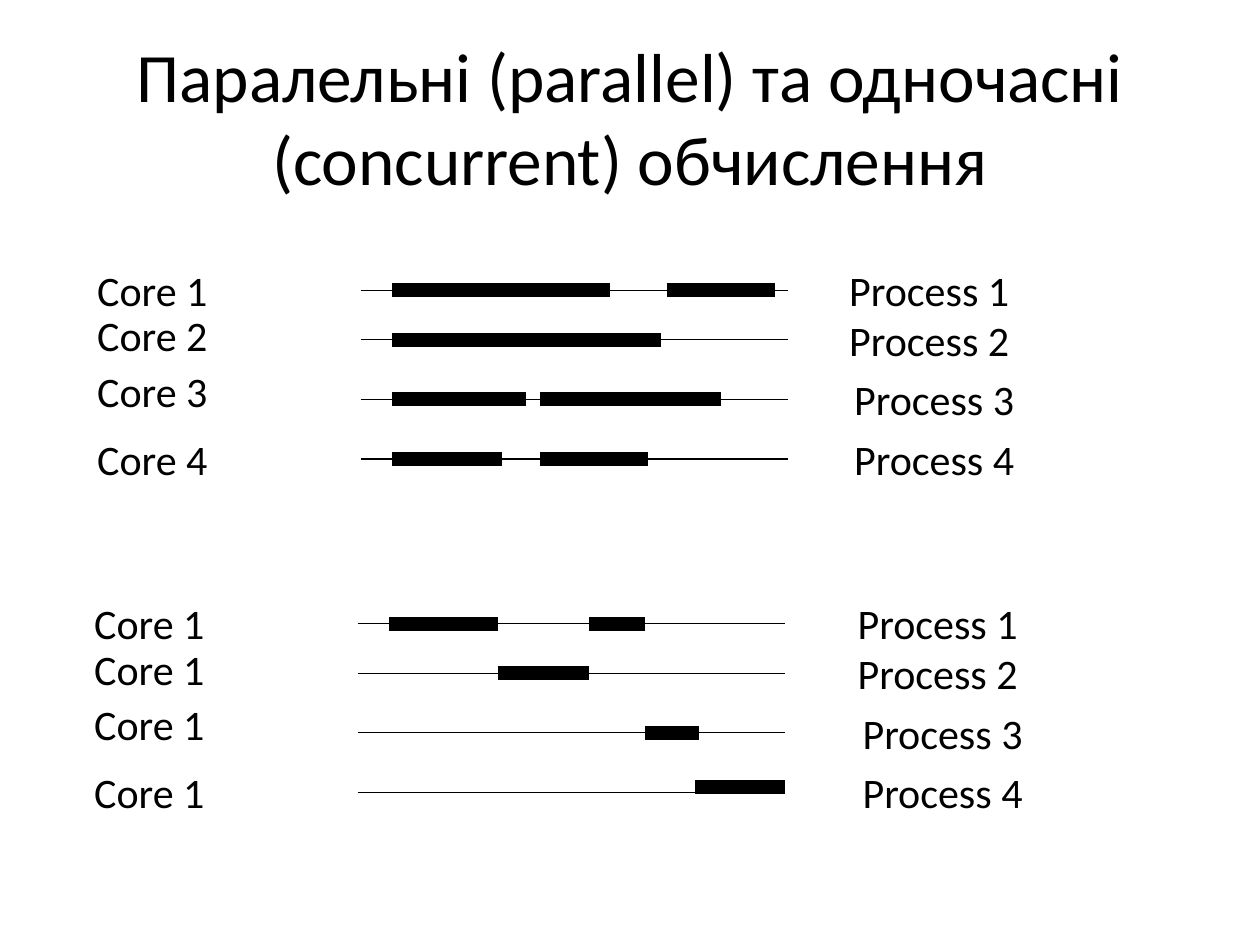
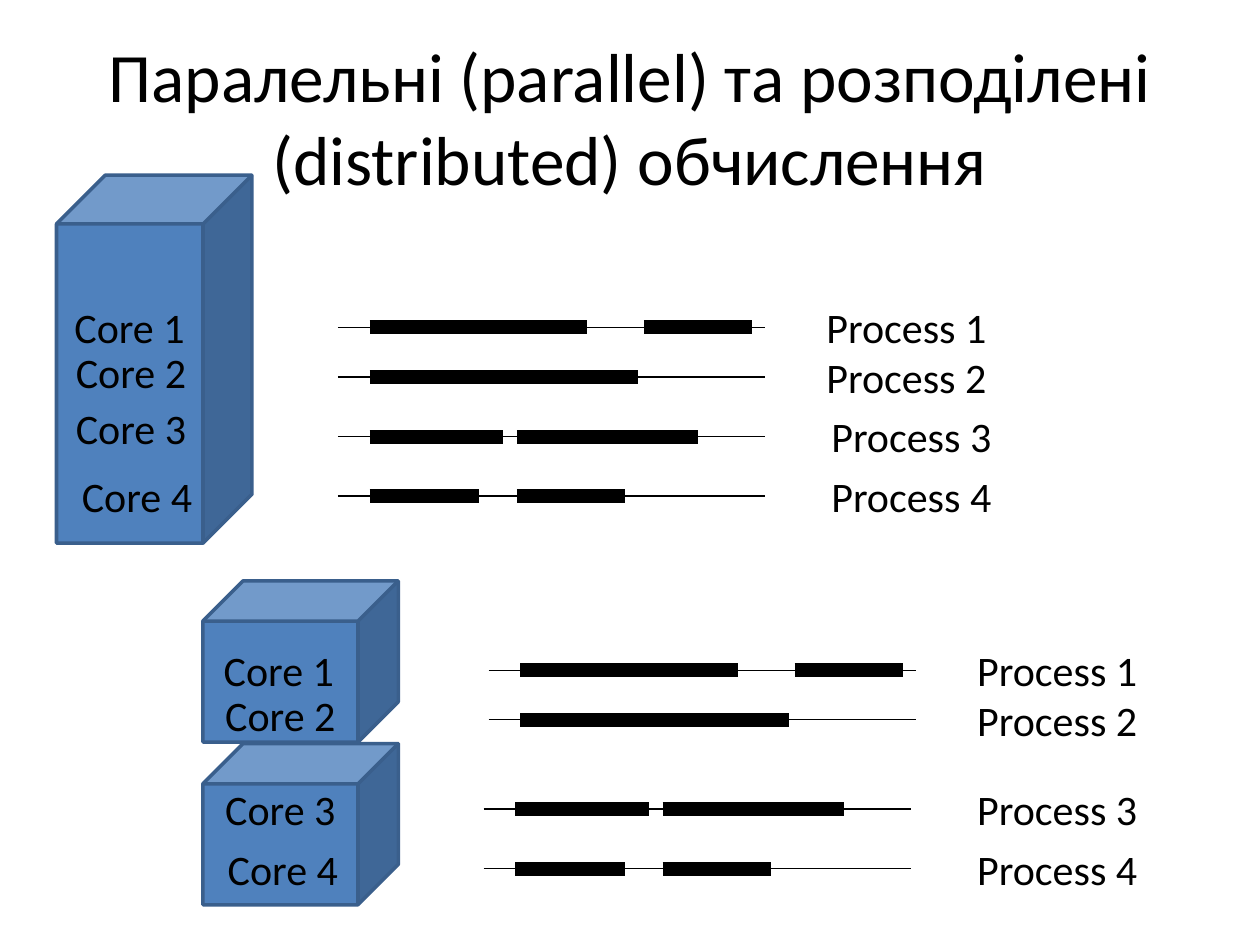
from dataclasses import dataclass

from lxml.etree import SubElement
from pptx import Presentation
from pptx.dml.color import RGBColor
from pptx.enum.shapes import MSO_CONNECTOR, MSO_SHAPE
from pptx.enum.text import MSO_ANCHOR, PP_ALIGN
from pptx.oxml.ns import qn
from pptx.util import Cm, Pt

BLACK = RGBColor(0x00, 0x00, 0x00)
BLUE = RGBColor(0x4F, 0x81, 0xBD)
DARK_BLUE = RGBColor(0x3A, 0x5F, 0x8C)
FONT = "Calibri"

# Lengths in cm, relative to the start of a group's first lane
LANE_LENGTH = 8.61
LANE_Y = {1: 0, 2: 1, 3: 2.2, 4: 3.4}
PROCESS_SHIFT = {1: 0, 2: 0, 3: 0.1, 4: 0.1}
LABEL_RISE = 0.64
LABEL_HEIGHT = 1.27
CORE_X = -5.56
CORE_Y = (0, 0.91, 2.03, 3.4)


@dataclass
class Burst:
    start: float
    end: float
    lift: float = 0


# Bursts of work for each process number
PARALLEL = {
    1: [Burst(0.64, 5.03), Burst(6.17, 8.36)],
    2: [Burst(0.64, 6.05)],
    3: [Burst(0.64, 3.33), Burst(3.61, 7.26)],
    4: [Burst(0.64, 2.84), Burst(3.61, 5.79)],
}
CONCURRENT = {
    1: [Burst(0.64, 2.82), Burst(4.67, 5.79)],
    2: [Burst(2.82, 4.67)],
    3: [Burst(5.79, 6.88)],
    4: [Burst(6.81, LANE_LENGTH, lift=0.1)],
}


def add_text(shapes, text, x, y, w, h, size=24, align=PP_ALIGN.LEFT,
             anchor=MSO_ANCHOR.TOP):
    tf = shapes.add_textbox(Cm(x), Cm(y), Cm(w), Cm(h)).text_frame
    tf.word_wrap = True
    tf.vertical_anchor = anchor
    p = tf.paragraphs[0]
    p.alignment = align
    r = p.add_run()
    r.text = text
    r.font.name = FONT
    r.font.size = Pt(size)
    r.font.color.rgb = BLACK


def add_line(shapes, x1, x2, y, width):
    line = shapes.add_connector(MSO_CONNECTOR.STRAIGHT,
                                Cm(x1), Cm(y), Cm(x2), Cm(y))
    line.line.color.rgb = BLACK
    line.line.width = Pt(width)
    SubElement(line._element.spPr, qn("a:effectLst"))


def add_computer(shapes, x, y, h):
    cube = shapes.add_shape(MSO_SHAPE.CUBE, Cm(x), Cm(y), Cm(3.94), Cm(h))
    cube.shadow.inherit = False
    cube.fill.solid()
    cube.fill.fore_color.rgb = BLUE
    cube.line.color.rgb = DARK_BLUE
    cube.line.width = Pt(2)


def add_schedule(shapes, x, y, schedule, cores, core_x=(0, 0, 0, 0),
                 core_y=CORE_Y, process_x=9.6):
    """Lanes with a core label on the left and a process label on the right."""
    first_y = LANE_Y[min(schedule)]
    lanes = zip(schedule.items(), cores, core_x, core_y)
    for (process, bursts), core, core_dx, core_dy in lanes:
        lane_y = y + LANE_Y[process] - first_y
        add_line(shapes, x, x + LANE_LENGTH, lane_y, 0.75)
        for b in bursts:
            add_line(shapes, x + b.start, x + b.end, lane_y - b.lift, 8)
        add_text(shapes, f"Core {core}", x + CORE_X + core_dx,
                 y + core_dy - LABEL_RISE, 3.4, LABEL_HEIGHT)
        add_text(shapes, f"Process {process}",
                 x + process_x + PROCESS_SHIFT[process],
                 lane_y - LABEL_RISE, 4.4, LABEL_HEIGHT)


def add_titled_slide(prs, title):
    s = prs.slides.add_slide(prs.slide_layouts[6])
    add_text(s.shapes, title, 1.27, 0.76, 22.86, 3.18, size=39.6,
             align=PP_ALIGN.CENTER, anchor=MSO_ANCHOR.MIDDLE)
    return s


def add_group(s):
    return s.shapes.add_group_shape().shapes


def build_concurrent_slide(prs):
    s = add_titled_slide(
        prs, "Паралельні (parallel) та одночасні (concurrent) обчислення")
    # Four cores
    add_schedule(add_group(s), 7.27, 5.85, PARALLEL, cores=(1, 2, 3, 4))
    # One shared core
    add_schedule(add_group(s), 7.21, 12.57, CONCURRENT, cores=(1, 1, 1, 1),
                 process_x=9.83)


def build_distributed_slide(prs):
    s = add_titled_slide(
        prs, "Паралельні (parallel) та розподілені (distributed) обчислення")
    # One computer with four cores
    computer = add_group(s)
    add_computer(computer, 1.14, 3.53, 7.42)
    add_schedule(computer, 6.81, 6.6, PARALLEL, cores=(1, 2, 3, 4),
                 core_x=(0, 0.03, 0.03, 0.15))
    # Two stacked computers with two cores each, the lower one behind
    network = add_group(s)
    for cube_y, x, y, numbers, core_x, core_y in (
            (14.99, 9.75, 16.31, (3, 4), (0.1, 0.15), (0, 1.2)),
            (11.71, 9.85, 13.51, (1, 2), (-0.03, 0), CORE_Y)):
        add_computer(network, 4.09, cube_y, 3.25)
        add_schedule(network, x, y, {n: PARALLEL[n] for n in numbers},
                     cores=numbers, core_x=core_x, core_y=core_y)


def main():
    prs = Presentation()
    prs.slide_width, prs.slide_height = Cm(25.4), Cm(19.05)
    build_concurrent_slide(prs)
    build_distributed_slide(prs)
    prs.save("out.pptx")


if __name__ == "__main__":
    main()
